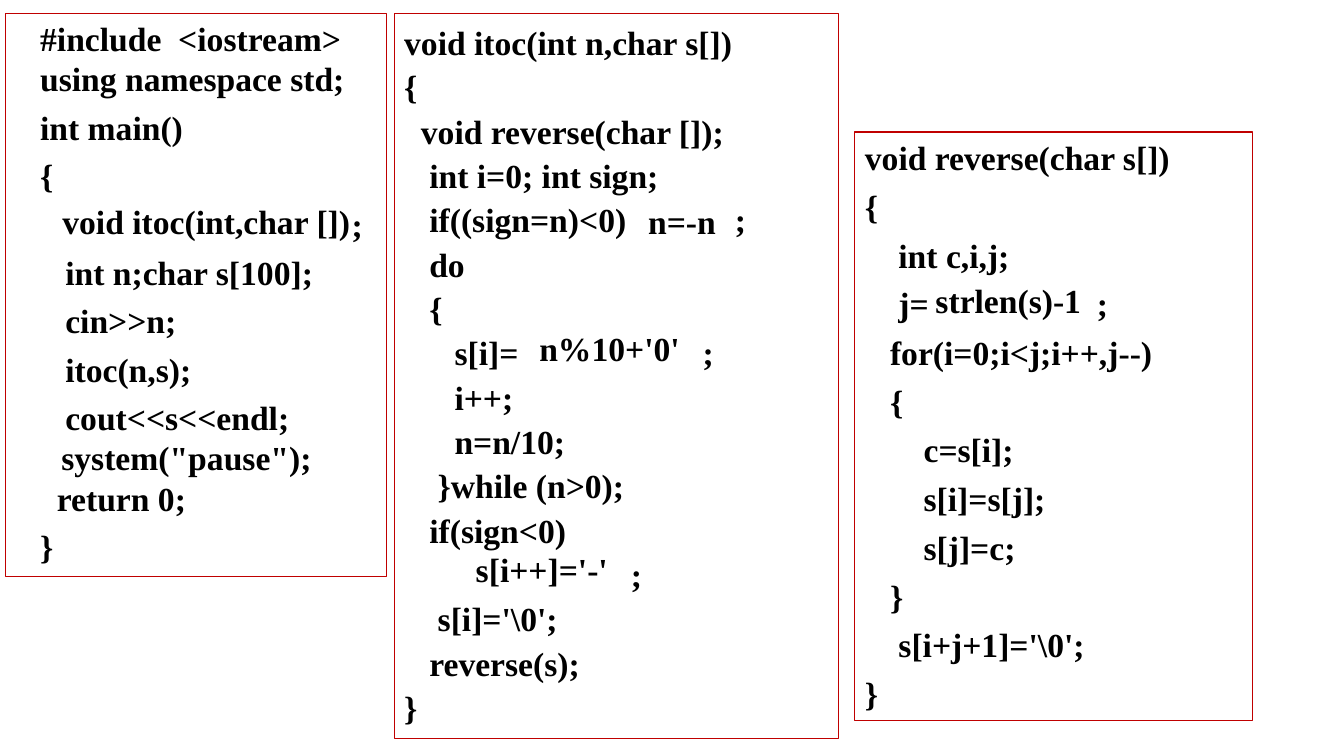
from dataclasses import dataclass

from lxml import etree
from pptx import Presentation
from pptx.dml.color import RGBColor
from pptx.enum.shapes import MSO_SHAPE
from pptx.enum.text import MSO_ANCHOR, PP_ALIGN
from pptx.oxml.ns import qn
from pptx.util import Inches, Pt

RECTANGLE = MSO_SHAPE.RECTANGLE
TOP = MSO_ANCHOR.TOP
LEFT, JUSTIFY = PP_ALIGN.LEFT, PP_ALIGN.JUSTIFY


@dataclass(frozen=True)
class Theme:
    """Colours, font and sizes shared by the whole slide."""
    ink: RGBColor = RGBColor(0, 0, 0)
    border: RGBColor = RGBColor(0xC0, 0, 0)
    font: str = "Times New Roman"
    code_size: Pt = Pt(24)
    border_width: Pt = Pt(0.75)


@dataclass(frozen=True)
class Line:
    """One line of code with its line spacing and optional tab stop."""
    text: str
    spacing: float = 1.0
    stop: float = 0


THEME = Theme()

MAIN_BOX = (0.05, 0.13, 3.78, 5.59)
MAIN_CODE = [
    Line("   #include  <iostream>"),
    Line("   using namespace std;"),
    Line("   int main()", 1.2),
    Line("   {", 1.2),
    Line("\t;", 1.2, stop=3.34),
    Line("      int n;char s[100];", 1.2),
    Line("      cin>>n;", 1.2),
    Line("      itoc(n,s);", 1.2),
    Line("      cout<<s<<endl;", 1.2),
    Line("\tsystem(\"pause\");", stop=0.46),
    Line("     return 0;"),
    Line("   }", 1.2),
]
MAIN_ANSWERS = [("void itoc(int,char [])", 0.47, 1.81, 3.15)]

ITOC_BOX = (3.91, 0.13, 4.41, 7.2)
ITOC_CODE = [
    Line("void itoc(int n,char s[])", 1.1),
    Line("{", 1.1),
    Line("  void reverse(char []);", 1.1),
    Line("   int i=0; int sign;", 1.1),
    Line("   if((sign=n)<0)\t;", 1.1, stop=3.28),
    Line("   do", 1.1),
    Line("   {", 1.1),
    Line("      s[i]=\t;", 1.1, stop=2.96),
    Line("      i++;", 1.1),
    Line("      n=n/10;", 1.1),
    Line("    }while (n>0);", 1.1),
    Line("   if(sign<0)", 1.1),
    Line("\t;", 1.1, stop=2.25),
    Line("    s[i]='\\0';", 1.1),
    Line("   reverse(s);", 1.1),
    Line("}", 1.1),
]
ITOC_ANSWERS = [
    ("n=-n", 2.42, 1.81, 1.19),
    ("n%10+'0'", 1.34, 3.07, 2.61),
    ("s[i++]='-'", 0.71, 5.27, 1.82),
]

REVERSE_BOX = (8.48, 1.31, 3.94, 5.84)
REVERSE_CODE = [
    Line("void reverse(char s[])"),
    Line("{"),
    Line("    int c,i,j;"),
    Line("    j=\t;", stop=2.3),
    Line("   for(i=0;i<j;i++,j--)"),
    Line("   {"),
    Line("       c=s[i];"),
    Line("       s[i]=s[j];"),
    Line("       s[j]=c;"),
    Line("   }"),
    Line("    s[i+j+1]='\\0';"),
    Line("}"),
]
REVERSE_ANSWERS = [("strlen(s)-1", 0.7, 1.42, 1.75)]


def add_tab_stop(paragraph, position):
    """Give the paragraph one left tab stop."""
    tabs = etree.SubElement(paragraph._p.get_or_add_pPr(), qn("a:tabLst"))
    etree.SubElement(tabs, qn("a:tab"), pos=str(Inches(position)), algn="l")


def write_code(frame, lines, align=LEFT, gap=0):
    """Fill a text frame with formatted lines of code."""
    frame.word_wrap = True
    frame.vertical_anchor = TOP
    for number, line in enumerate(lines):
        paragraph = frame.add_paragraph() if number else frame.paragraphs[0]
        if line.stop:
            add_tab_stop(paragraph, line.stop)
        paragraph.alignment = align
        paragraph.line_spacing = line.spacing
        if number and gap:
            paragraph.space_before = Pt(gap)
        code = paragraph.add_run()
        code.text = line.text
        code.font.name = THEME.font
        code.font.size = THEME.code_size
        code.font.bold = True
        code.font.color.rgb = THEME.ink


def add_code_panel(slide, box, lines, answers, gap=0):
    """Draw a bordered listing and the answers placed in its blanks."""
    left, top, width, height = box
    panel = slide.shapes.add_shape(RECTANGLE, *map(Inches, box))
    panel.shadow.inherit = False
    panel.fill.background()
    panel.line.color.rgb = THEME.border
    panel.line.width = THEME.border_width
    write_code(panel.text_frame, lines, align=JUSTIFY, gap=gap)
    for text, dx, dy, answer_width in answers:
        answer = slide.shapes.add_textbox(
            Inches(left + dx), Inches(top + dy), Inches(answer_width), Inches(0.5))
        write_code(answer.text_frame, [Line(text)])


def main():
    """Build the slide with its three listings."""
    deck = Presentation()
    deck.slide_width, deck.slide_height = Inches(13.33), Inches(7.5)
    slide = deck.slides.add_slide(deck.slide_layouts[6])
    add_code_panel(slide, MAIN_BOX, MAIN_CODE, MAIN_ANSWERS)
    add_code_panel(slide, ITOC_BOX, ITOC_CODE, ITOC_ANSWERS)
    add_code_panel(slide, REVERSE_BOX, REVERSE_CODE, REVERSE_ANSWERS, gap=6)
    deck.save("out.pptx")


if __name__ == "__main__":
    main()
